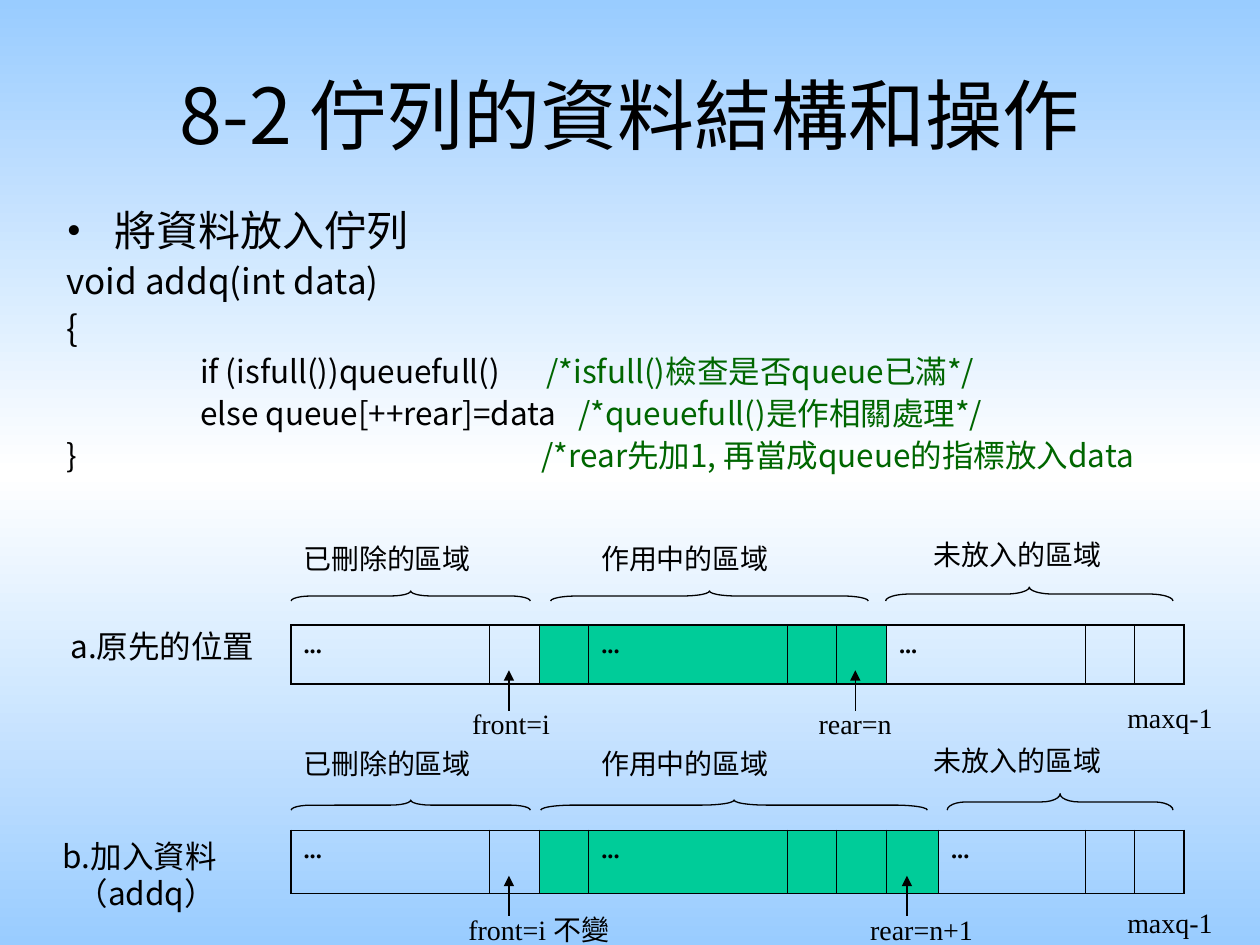
import copy
from dataclasses import dataclass

import pptx
import pptx.dml.color
import pptx.enum.shapes
import pptx.enum.text
import pptx.oxml
import pptx.oxml.ns
import pptx.util

RGBColor = pptx.dml.color.RGBColor
Inches = pptx.util.Inches
Pt = pptx.util.Pt
qn = pptx.oxml.ns.qn

BLACK = RGBColor(0, 0, 0)
WHITE = RGBColor(255, 255, 255)
SKY = RGBColor(0x99, 0xCC, 0xFF)
TEAL = RGBColor(0x00, 0xCC, 0x99)
GREEN = RGBColor(0x00, 0x66, 0x00)

SANS = "Noto Sans CJK SC"
SERIF = "Times New Roman"

WIDE, HIGH = 10, 7.5
LEFT, UNIT = 2.31, 7.09 / 18
THIN, THICK = 0.45, 1.08
ZONES = ((0, 0, "已刪除的區域"), (6, 0, "作用中的區域"), (12.7, -0.03, "未放入的區域"))


@dataclass
class Brace:
    start: float
    end: float
    depth: float


@dataclass
class Mark:
    col: float
    shift: float
    wide: float
    text: str


@dataclass
class Queue:
    top: float
    tall: float
    cols: tuple
    used: range
    base: float
    braces: tuple
    marks: tuple


@dataclass
class Code:
    text: str
    note: str
    size: float
    space: float
    tabs: tuple


QUEUES = (
    Queue(4.96, 0.47, (4, 1, 1, 4, 1, 1, 4, 1, 1), range(2, 6), 4.77,
          (Brace(0, 4.82, 0.08), Brace(5.23, 11.63, 0.08), Brace(11.98, 17.77, 0.11)),
          (Mark(4.39, 0.39, 0.9, "front=i"), Mark(11.37, 0.39, 0.85, "rear=n"))),
    Queue(6.59, 0.5, (4, 1, 1, 4, 1, 1, 1.05, 2.95, 1, 1), range(2, 7), 6.43,
          (Brace(0, 4.82, 0.08), Brace(5.03, 12.82, 0.08), Brace(13.22, 17.77, 0.13)),
          (Mark(4.39, 0.42, 1.45, "front=i 不變"), Mark(12.41, 0.39, 1.1, "rear=n+1"))),
)

CODES = (
    Code("void addq(int data)", "", 20, 5, ()),
    Code("{", "", 20, 5, ()),
    Code("\tif (isfull())queuefull()\t", "/*isfull()檢查是否queue已滿*/", 18, 4.5, (1.06, 3.81)),
    Code("\telse queue[++rear]=data\t", "/*queuefull()是作相關處理*/", 18, 4.5, (1.06, 4.06)),
    Code("}\t", "/*rear先加1, 再當成queue的指標放入data", 18, 4.5, (3.77,)),
)


def col(num: float) -> float:
    return LEFT + num * UNIT


def write(par, text: str, *, size=16, font=SERIF, color=BLACK, bold=False,
          space=0, line=None) -> None:
    run = par.add_run()
    run.text = text
    run.font.size = Pt(size)
    run.font.name = font
    run.font.bold = bold
    run.font.color.rgb = color
    east = pptx.oxml.parse_xml(
        f'<a:ea {pptx.oxml.ns.nsdecls("a")} typeface="{SANS}"/>')
    run.font._element.find(qn("a:latin")).addnext(east)
    par.space_before = Pt(space)
    if line:
        par.line_spacing = line


def add_box(slide, x: float, y: float, w: float, h: float, wrap=False):
    frame = slide.shapes.add_textbox(Inches(x), Inches(y), Inches(w), Inches(h)).text_frame
    frame.word_wrap = wrap
    return frame


def label(slide, x: float, y: float, text: str, w=1.6) -> None:
    write(add_box(slide, x, y, w, 0.37).paragraphs[0], text)


def paint(slide) -> None:
    fill = slide.background.fill
    fill.gradient()
    fill.gradient_angle = 90
    stops = next(slide.element.iter(qn("a:gsLst")))
    stops.insert(1, copy.deepcopy(stops[0]))
    for stop, place, color in zip(fill.gradient_stops, (0, 0.5, 1), (SKY, WHITE, SKY)):
        stop.position = place
        stop.color.rgb = color


def edge(cell, widths: tuple) -> None:
    props = cell._tc.get_or_add_tcPr()
    for num, (side, width) in enumerate(zip("LRTB", widths)):
        props.insert(num, pptx.oxml.parse_xml(
            f'<a:ln{side} {pptx.oxml.ns.nsdecls("a")} w="{Pt(width)}"><a:solidFill>'
            f'<a:srgbClr val="{BLACK}"/></a:solidFill></a:ln{side}>'))


def draw_cells(slide, queue: Queue) -> None:
    count = len(queue.cols)
    table = slide.shapes.add_table(
        1, count, Inches(LEFT), Inches(queue.top),
        Inches(18 * UNIT), Inches(queue.tall)).table
    table.first_row = table.horz_banding = False
    for num, span in enumerate(queue.cols):
        table.columns[num].width = Inches(span * UNIT)
        cell = table.cell(0, num)
        if num in queue.used:
            cell.fill.solid()
            cell.fill.fore_color.rgb = TEAL
        else:
            cell.fill.background()
        if span > 2:
            write(cell.text_frame.paragraphs[0], "...", size=14, bold=True, space=3.5)
        edge(cell, (THIN if num else THICK, THICK if num == count - 1 else THIN,
                    THICK, THICK))


def draw_brace(slide, brace: Brace, base: float) -> None:
    span = (brace.end - brace.start) * UNIT
    mid = col((brace.start + brace.end) / 2)
    shape = slide.shapes.add_shape(
        pptx.enum.shapes.MSO_SHAPE.LEFT_BRACE,
        Inches(mid - brace.depth / 2), Inches(base - brace.depth / 2 - span / 2),
        Inches(brace.depth), Inches(span))
    shape.rotation = 90
    shape.adjustments[0] = span / 12 / brace.depth
    shape.shadow.inherit = False
    shape.fill.background()
    shape.line.color.rgb = BLACK
    shape.line.width = Pt(0.75)


def draw_mark(slide, mark: Mark, top: float) -> None:
    x = col(mark.col)
    label(slide, x - mark.shift, top + 0.6, mark.text, mark.wide)
    arrow = slide.shapes.add_connector(
        pptx.enum.shapes.MSO_CONNECTOR.STRAIGHT,
        Inches(x), Inches(top + 0.68), Inches(x), Inches(top + 0.36))
    arrow.line.color.rgb = BLACK
    arrow.line.width = Pt(0.75)
    names = pptx.oxml.ns.nsdecls("a")
    arrow.line._get_or_add_ln().append(
        pptx.oxml.parse_xml(f'<a:tailEnd {names} type="triangle"/>'))
    arrow._element.spPr.append(pptx.oxml.parse_xml(f"<a:effectLst {names}/>"))


def draw_queue(slide, queue: Queue) -> None:
    draw_cells(slide, queue)
    for brace in queue.braces:
        draw_brace(slide, brace, queue.base)
    for place, lift, text in ZONES:
        label(slide, col(place), queue.top - 0.71 + lift, text)
    for mark in queue.marks:
        draw_mark(slide, mark, queue.top)
    label(slide, col(16.6), queue.top + 0.55, "maxq-1", 0.95)


def draw_code(slide) -> None:
    frame = add_box(slide, 0.43, 1.62, 9.57, 2.91, True)
    head = frame.paragraphs[0]
    write(head, "將資料放入佇列", size=24, font=SANS, space=6, line=0.9)
    props = head._p.get_or_add_pPr()
    props.set("marL", str(Inches(0.38)))
    props.set("indent", str(-Inches(0.38)))
    names = pptx.oxml.ns.nsdecls("a")
    props.append(pptx.oxml.parse_xml(f'<a:buFont {names} typeface="{SERIF}"/>'))
    props.append(pptx.oxml.parse_xml(f'<a:buChar {names} char="•"/>'))
    for code in CODES:
        par = frame.add_paragraph()
        style = dict(size=code.size, font=SANS, space=code.space, line=0.9)
        write(par, code.text, **style)
        if code.note:
            write(par, code.note, color=GREEN, **style)
        if code.tabs:
            stops = "".join(f'<a:tab pos="{Inches(tab)}" algn="l"/>' for tab in code.tabs)
            par._p.get_or_add_pPr().append(
                pptx.oxml.parse_xml(f"<a:tabLst {names}>{stops}</a:tabLst>"))


def main() -> None:
    deck = pptx.Presentation()
    deck.slide_width, deck.slide_height = Inches(WIDE), Inches(HIGH)
    slide = deck.slides.add_slide(deck.slide_layouts[5])
    paint(slide)
    title = slide.shapes.title
    title.left, title.top = Inches(0.075 * WIDE), Inches(0.28)
    title.width, title.height = Inches(0.85 * WIDE), Inches(1.25)
    title.text_frame.vertical_anchor = pptx.enum.text.MSO_ANCHOR.MIDDLE
    head = title.text_frame.paragraphs[0]
    head.alignment = pptx.enum.text.PP_ALIGN.CENTER
    write(head, "8-2 佇列的資料結構和操作", size=44, font=SANS)
    draw_code(slide)
    for queue in QUEUES:
        draw_queue(slide, queue)
    first = add_box(slide, 0.46, 4.93, 1.81, 0.4)
    write(first.paragraphs[0], "a.原先的位置", size=18, font=SANS)
    second = add_box(slide, 0.4, 6.59, 1.67, 0.7)
    write(second.paragraphs[0], "b.加入資料", size=18, font=SANS)
    inner = second.add_paragraph()
    write(inner, "（addq）", size=18, font=SANS)
    inner._p.get_or_add_pPr().set("marL", str(Inches(0.11)))
    deck.save("out.pptx")


if __name__ == "__main__":
    main()
